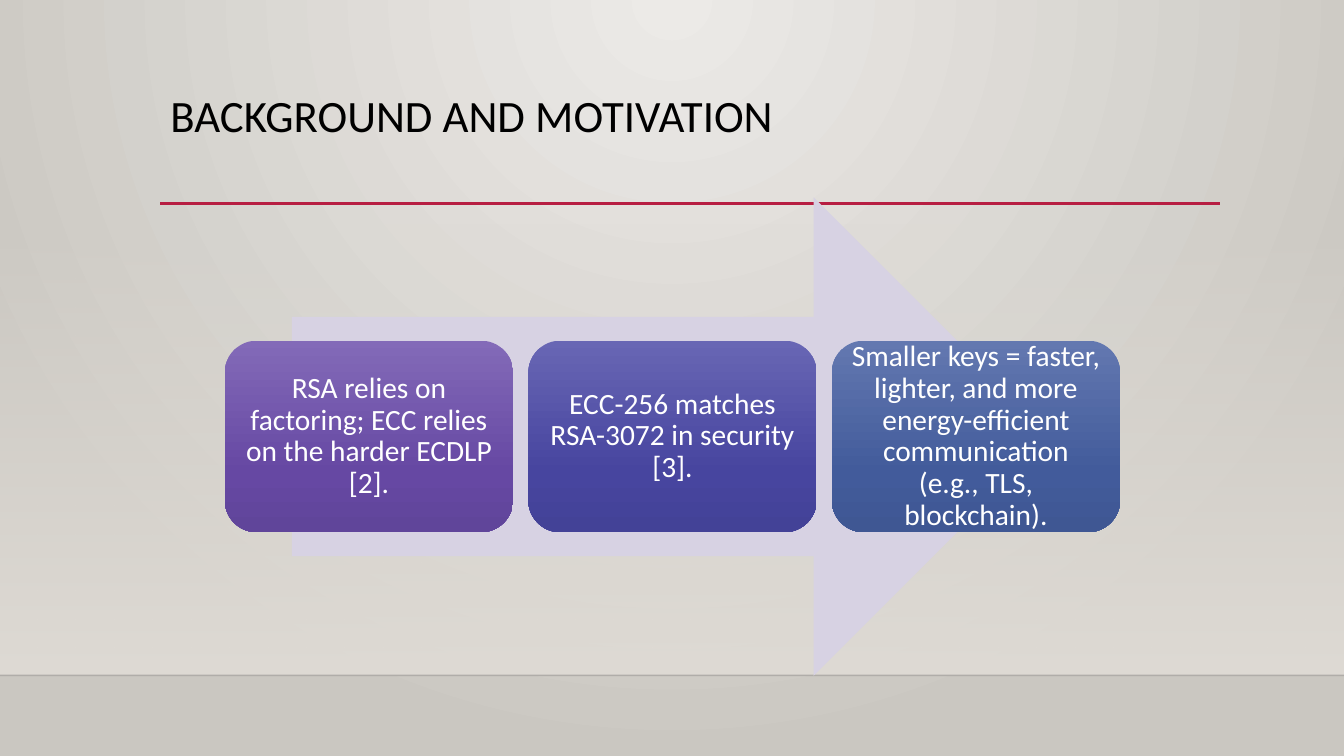
from lxml import etree
from pptx import Presentation, util as u
from pptx.dml.color import RGBColor
from pptx.enum import shapes, text
from pptx.oxml import parse_xml
from pptx.oxml.ns import nsdecls, qn

TITLE = "BACKGROUND AND MOTIVATION"
CARDS = [
    ("RSA relies on factoring; ECC relies on the harder ECDLP [2].",
     ("836AB8", "6648A3", "60459A")),
    ("ECC-256 matches RSA-3072 in security [3].",
     ("6866B4", "47459F", "434297")),
    ("Smaller keys = faster, lighter, and more energy-efficient "
     "communication (e.g., TLS, blockchain).",
     ("6378B0", "425B9B", "3F5793")),
]


class Theme:
    font = "Calibri"
    title_size, card_size = 32, 21
    title, card_text = "000000", "FFFFFF"
    back = [(0, "ECEAE7", 100), (100, "CAC7C1", 100)]
    wall = [(0, "DFDBD5", 0), (100, "DFDBD5", 100)]
    arrow, rule, floor = "D7D2E3", "B71E42", "000001"
    card_stops = (0, 69, 100)


WIDTH, HEIGHT = 13.33, 7.5
FLOOR_Y, WALL_H = 6.7, 4.49
RULE_X, RULE_Y, RULE_END = 1.59, 2.02, 12.1
CARD_X, CARD_Y, CARD_W, CARD_H, GAP = 2.23, 3.38, 2.86, 1.9, 0.15
ROW_W = len(CARDS) * CARD_W + (len(CARDS) - 1) * GAP
ARROW_W, ARROW_H = 0.85 * ROW_W, 2.5 * CARD_H
LINEAR = '<a:lin ang="5400000" scaled="0"/>'
RADIAL = ('<a:path path="circle">'
          '<a:fillToRect l="43000" t="0" r="43000" b="100000"/></a:path>')

prs = Presentation()
prs.slide_width, prs.slide_height = u.Inches(WIDTH), u.Inches(HEIGHT)
s = prs.slides.add_slide(prs.slide_layouts[5])


def inches(*lengths):
    return [u.Inches(v) for v in lengths]


def set_gradient(fill, owner, stops, direction=LINEAR):
    """Fill owner's element with (position %, colour, opacity %) stops."""
    fill.solid()
    marks = "".join(
        f'<a:gs pos="{pos * 1000}"><a:srgbClr val="{color}">'
        f'<a:alpha val="{opacity * 1000}"/></a:srgbClr></a:gs>'
        for pos, color, opacity in stops)
    solid = owner.find(".//" + qn("a:solidFill"))
    solid.getparent().replace(solid, parse_xml(
        f'<a:gradFill {nsdecls("a")} rotWithShape="1"><a:gsLst>{marks}'
        f'</a:gsLst>{direction}</a:gradFill>'))


def add_shape(kind, *box):
    sp = s.shapes.add_shape(kind, *inches(*box))
    sp.shadow.inherit = False
    sp.line.fill.background()
    return sp


def add_line(x1, x2, y, color, width, opacity=100):
    line = s.shapes.add_connector(shapes.MSO_CONNECTOR.STRAIGHT,
                                  *inches(x1, y, x2, y))
    line.line.color.rgb = RGBColor.from_string(color)
    line.line.width = u.Pt(width)
    spPr = line._element.spPr
    etree.SubElement(spPr.find(".//" + qn("a:srgbClr")), qn("a:alpha"),
                     val=str(opacity * 1000))
    etree.SubElement(spPr, qn("a:effectLst"))


def write(sp, words, size, color, align, **frame):
    tf = sp.text_frame
    for name, value in frame.items():
        setattr(tf, name, value)
    p = tf.paragraphs[0]
    p.alignment, p.line_spacing = align, 0.9
    r = p.add_run()
    r.text = words
    for name, value in {"name": Theme.font, "size": u.Pt(size)}.items():
        setattr(r.font, name, value)
    r.font.color.rgb = RGBColor.from_string(color)


set_gradient(s.background.fill, s._element, Theme.back, RADIAL)
wall = add_shape(shapes.MSO_SHAPE.RECTANGLE, 0, FLOOR_Y - WALL_H, WIDTH, WALL_H)
set_gradient(wall.fill, wall._element.spPr, Theme.wall)
add_line(0, WIDTH, FLOOR_Y, Theme.floor, 1, 20)
add_line(RULE_X, RULE_END, RULE_Y, Theme.rule, 2.5)

title = s.shapes.title
title.left, title.top, title.width, title.height = inches(RULE_X, 0.88, 10.5, 1.15)
write(title, TITLE, Theme.title_size, Theme.title, text.PP_ALIGN.LEFT,
      vertical_anchor=text.MSO_ANCHOR.TOP, word_wrap=True)

arrow = add_shape(shapes.MSO_SHAPE.RIGHT_ARROW,
                  CARD_X + (ROW_W - ARROW_W) / 2,
                  CARD_Y + (CARD_H - ARROW_H) / 2, ARROW_W, ARROW_H)
arrow.fill.solid()
arrow.fill.fore_color.rgb = RGBColor.from_string(Theme.arrow)

inset = u.Inches(0.09)
for i, (words, colors) in enumerate(CARDS):
    card = add_shape(shapes.MSO_SHAPE.ROUNDED_RECTANGLE,
                     CARD_X + i * (CARD_W + GAP), CARD_Y, CARD_W, CARD_H)
    set_gradient(card.fill, card._element.spPr,
                 [(pos, c, 100) for pos, c in zip(Theme.card_stops, colors)])
    write(card, words, Theme.card_size, Theme.card_text, text.PP_ALIGN.CENTER,
          vertical_anchor=text.MSO_ANCHOR.MIDDLE, word_wrap=True,
          margin_left=inset, margin_right=inset,
          margin_top=inset, margin_bottom=inset)

prs.save("out.pptx")
